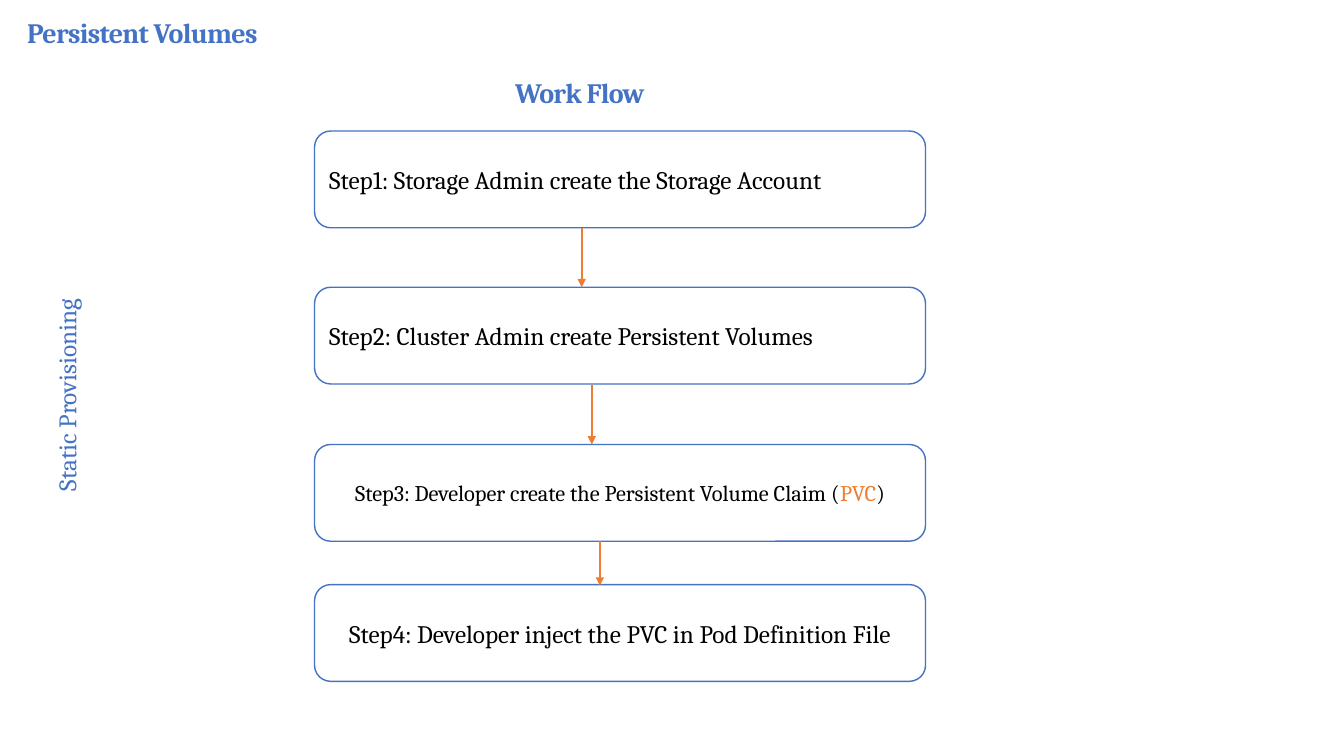
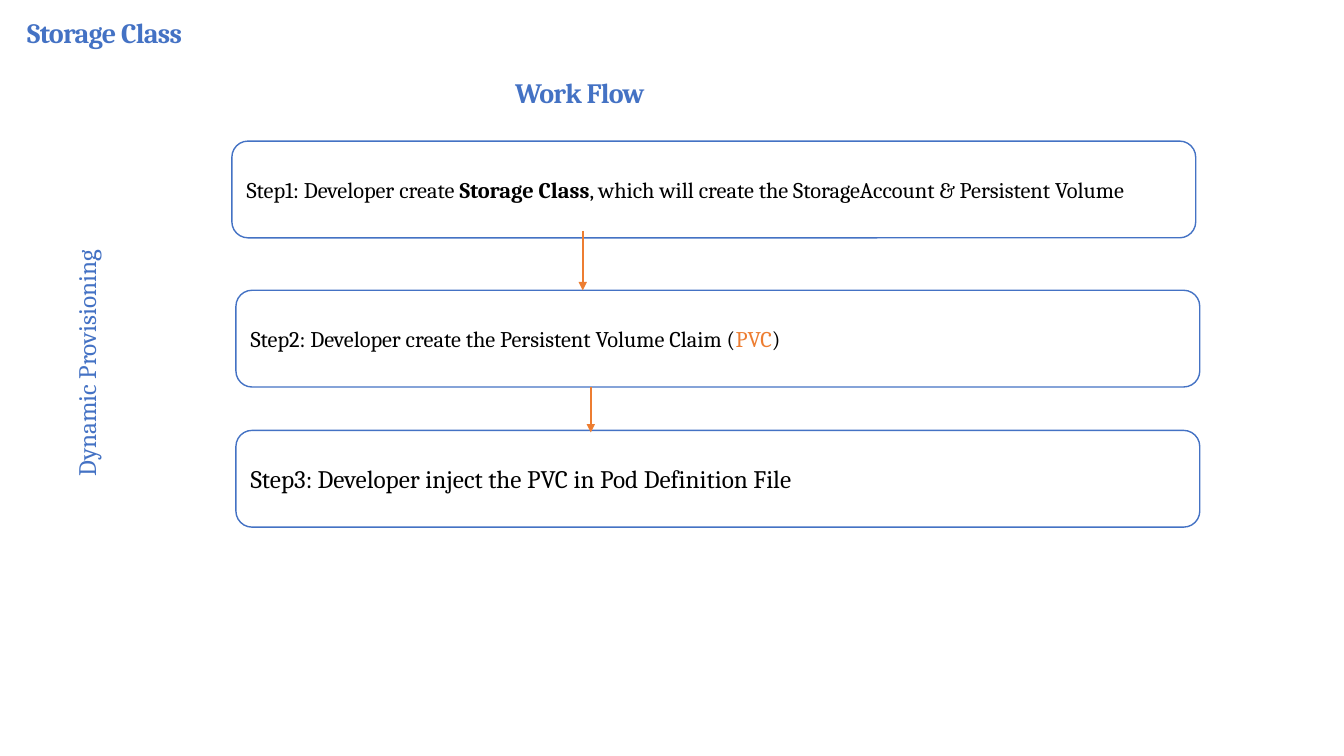
from dataclasses import dataclass

from lxml import etree
from pptx import Presentation
from pptx.dml.color import RGBColor
from pptx.enum.shapes import MSO_CONNECTOR, MSO_SHAPE
from pptx.enum.text import MSO_ANCHOR, MSO_AUTO_SIZE, PP_ALIGN
from pptx.oxml.ns import qn
from pptx.util import Emu, Pt

PX = 9144  # EMU per px, 100 px to the inch
PAGE_WIDTH, PAGE_HEIGHT = 1333, 750
STEP_HEIGHT = 96
FONT = "Cambria"
BLUE = RGBColor(0x44, 0x72, 0xC4)
ORANGE = RGBColor(0xED, 0x7D, 0x31)
BLACK = RGBColor(0, 0, 0)
WHITE = RGBColor(0xFF, 0xFF, 0xFF)

ROUNDED = MSO_SHAPE.ROUNDED_RECTANGLE
STRAIGHT = MSO_CONNECTOR.STRAIGHT
TOP, MIDDLE = MSO_ANCHOR.TOP, MSO_ANCHOR.MIDDLE
LEFT, CENTER = PP_ALIGN.LEFT, PP_ALIGN.CENTER
NO_AUTOFIT = MSO_AUTO_SIZE.NONE
TITLE_ONLY = 5


@dataclass(frozen=True)
class Span:
    text: str
    color: RGBColor | None = None
    bold: bool | None = None


@dataclass(frozen=True)
class Step:
    left: int
    top: int
    spans: tuple[Span, ...]
    size: int = 18
    align: PP_ALIGN = LEFT


@dataclass(frozen=True)
class Arrow:
    x: int
    top: int
    bottom: int


@dataclass(frozen=True)
class SideLabel:
    text: str
    left: int
    top: int
    width: int


@dataclass(frozen=True)
class Workflow:
    title: str
    side_label: SideLabel
    step_width: int
    steps: tuple[Step, ...]
    arrows: tuple[Arrow, ...]


CLAIM = (Span("Developer create the Persistent Volume Claim ("), Span("PVC", ORANGE), Span(")"))
INJECT = Span("Developer inject the PVC in Pod Definition File")

WORKFLOWS = (
    Workflow(
        "Persistent Volumes",
        SideLabel("Static Provisioning", -56, 355, 244),
        606,
        (
            Step(312, 130, (Span("Storage Admin create the Storage Account"),)),
            Step(312, 285, (Span("Cluster Admin create Persistent Volumes"),)),
            Step(312, 441, CLAIM, 16, CENTER),
            Step(312, 580, (INJECT,), align=CENTER),
        ),
        (Arrow(577, 226, 285), Arrow(587, 382, 441), Arrow(595, 537, 581)),
    ),
    Workflow(
        "Storage Class",
        SideLabel("Dynamic Provisioning", -50, 327, 271),
        956,
        (
            Step(
                230,
                140,
                (
                    Span("Developer create "),
                    Span("Storage Class", bold=True),
                    Span(", which will create the StorageAccount & Persistent Volume"),
                ),
                16,
            ),
            Step(234, 288, CLAIM, 16),
            Step(234, 427, (INJECT,)),
        ),
        (Arrow(578, 229, 288), Arrow(586, 384, 429)),
    ),
)


def px(*lengths: int) -> tuple[Emu, ...]:
    return tuple(Emu(length * PX) for length in lengths)


def style_paragraph(para, size: int, color: RGBColor, align=LEFT) -> None:
    para.alignment = align
    para.font.name = FONT
    para.font.size = Pt(size)
    para.font.color.rgb = color


def write_heading(box, text: str) -> None:
    """Bold blue text with tight letter spacing and no margins."""
    frame = box.text_frame
    frame.margin_left = frame.margin_top = frame.margin_right = frame.margin_bottom = 0
    frame.vertical_anchor = TOP
    frame.auto_size = NO_AUTOFIT
    frame.word_wrap = True
    para = frame.paragraphs[0]
    style_paragraph(para, 20, BLUE)
    para.font.bold = True
    run = para.add_run()
    run.text = text
    run._r.get_or_add_rPr().set("spc", "-50")


def add_headings(page, title: str) -> None:
    title_box = page.shapes.title
    title_box.left, title_box.top, title_box.width, title_box.height = px(27, 15, 312, 34)
    write_heading(title_box, title)
    write_heading(page.shapes.add_textbox(*px(511, 75, 312, 34)), "Work Flow")


def add_step(page, number: int, step: Step, width: int) -> None:
    box = page.shapes.add_shape(ROUNDED, *px(step.left, step.top, width, STEP_HEIGHT))
    box.shadow.inherit = False
    box.fill.solid()
    box.fill.fore_color.rgb = WHITE
    box.line.color.rgb = BLUE
    box.line.width = Pt(1)
    frame = box.text_frame
    frame.word_wrap = True
    frame.vertical_anchor = MIDDLE
    para = frame.paragraphs[0]
    style_paragraph(para, step.size, BLACK, step.align)
    for index, span in enumerate(step.spans):
        run = para.add_run()
        run.text = span.text if index else f"Step{number}: {span.text}"
        if span.bold:
            run.font.bold = True
        if span.color is not None:
            run.font.color.rgb = span.color


def add_arrow(page, arrow: Arrow) -> None:
    line = page.shapes.add_connector(STRAIGHT, *px(arrow.x, arrow.top, arrow.x, arrow.bottom))
    line.line.color.rgb = ORANGE
    line.line.width = Pt(1.5)
    etree.SubElement(line.line._get_or_add_ln(), qn("a:tailEnd"), type="triangle")
    etree.SubElement(line._element.spPr, qn("a:effectLst"))


def add_side_label(page, label: SideLabel) -> None:
    box = page.shapes.add_textbox(*px(label.left, label.top, label.width, 40))
    box.rotation = 270
    box.text_frame.word_wrap = True
    para = box.text_frame.paragraphs[0]
    para.text = label.text
    style_paragraph(para, 18, BLUE)


def add_workflow(deck, workflow: Workflow) -> None:
    page = deck.slides.add_slide(deck.slide_layouts[TITLE_ONLY])
    add_headings(page, workflow.title)
    for number, step in enumerate(workflow.steps, start=1):
        add_step(page, number, step, workflow.step_width)
    for arrow in workflow.arrows:
        add_arrow(page, arrow)
    add_side_label(page, workflow.side_label)


def main() -> None:
    deck = Presentation()
    deck.slide_width, deck.slide_height = px(PAGE_WIDTH, PAGE_HEIGHT)
    for workflow in WORKFLOWS:
        add_workflow(deck, workflow)
    deck.save("out.pptx")


if __name__ == "__main__":
    main()
